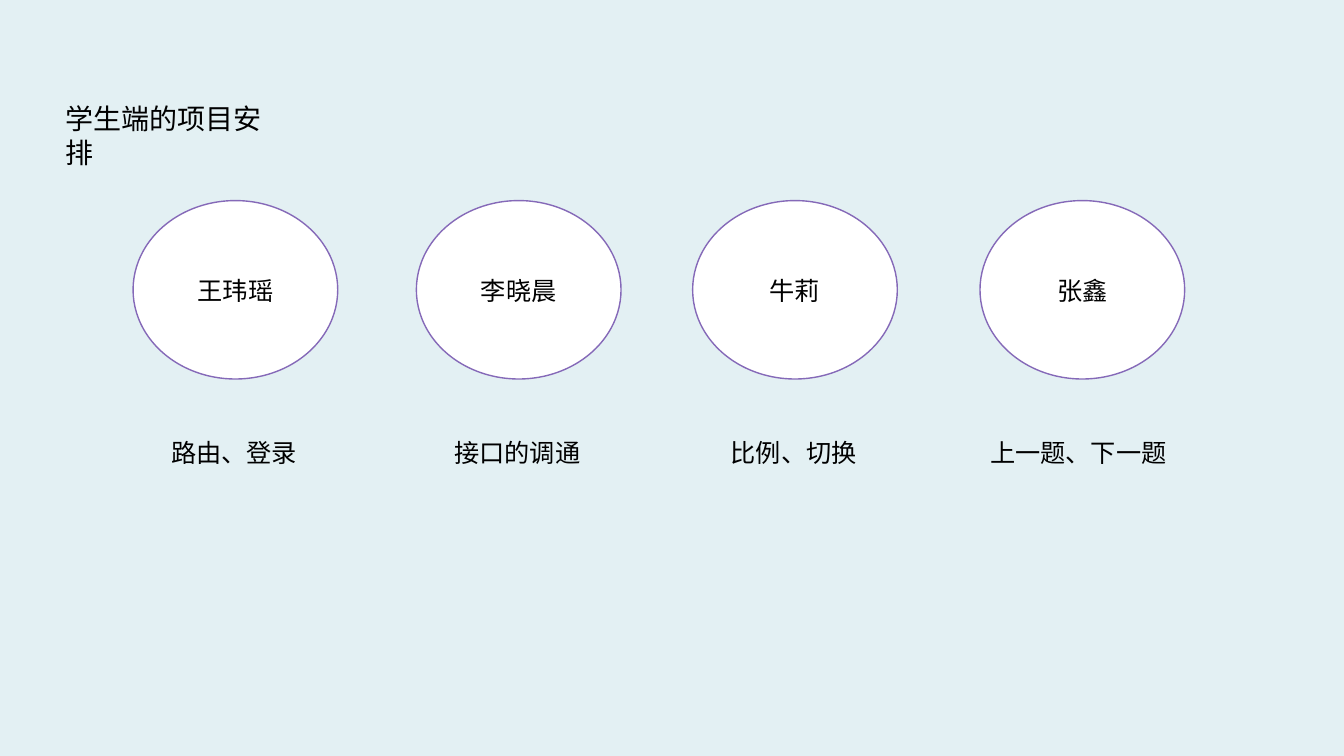
import pptx
import pptx.util
import pptx.dml.color
import pptx.enum.shapes
import pptx.enum.text

Inches = pptx.util.Inches
RGBColor = pptx.dml.color.RGBColor
Align = pptx.enum.text.PP_ALIGN

TITLE = "学生端的项目安排"
MEMBERS = [
    (1.32, "王玮瑶", "路由、登录"),
    (4.13, "李晓晨", "接口的调通"),
    (6.87, "牛莉", "比例、切换"),
    (9.72, "张鑫", "上一题、下一题"),
]

BACKGROUND = RGBColor(0xE3, 0xF0, 0xF3)
WHITE = RGBColor(0xFF, 0xFF, 0xFF)
PURPLE = RGBColor(0x85, 0x69, 0xB8)
BLACK = RGBColor(0x00, 0x00, 0x00)

CIRCLE_TOP, CIRCLE_WIDTH, CIRCLE_HEIGHT = 1.99, 2.03, 1.77
NAME_TOP, TASK_TOP, TEXT_HEIGHT = 2.68, 4.29, 0.4


def write_text(box, text, size=18, align=Align.LEFT, wrap=True):
    frame = box.text_frame
    frame.word_wrap = wrap
    frame.auto_size = pptx.enum.text.MSO_AUTO_SIZE.NONE
    frame.vertical_anchor = pptx.enum.text.MSO_ANCHOR.TOP
    para = frame.paragraphs[0]
    para.alignment = align
    span = para.add_run()
    span.text = text
    span.font.name = "Arial"
    span.font.size = pptx.util.Pt(size)
    span.font.color.rgb = BLACK


def add_centred_box(shapes, left, top, width):
    box_left = left + (CIRCLE_WIDTH - width) / 2
    return shapes.add_textbox(
        Inches(box_left), Inches(top), Inches(width), Inches(TEXT_HEIGHT))


def add_member(page, left, name, task):
    shapes = page.shapes.add_group_shape().shapes
    circle = shapes.add_shape(
        pptx.enum.shapes.MSO_SHAPE.OVAL, Inches(left), Inches(CIRCLE_TOP),
        Inches(CIRCLE_WIDTH), Inches(CIRCLE_HEIGHT))
    circle.shadow.inherit = False
    circle.fill.solid()
    circle.fill.fore_color.rgb = WHITE
    circle.line.color.rgb = PURPLE
    circle.line.width = pptx.util.Pt(1)

    task_box = add_centred_box(shapes, left, TASK_TOP, 0.1 + 0.275 * len(task))
    write_text(task_box, task)
    name_box = add_centred_box(shapes, left, NAME_TOP, 0.2 + 0.25 * len(name))
    write_text(name_box, name, align=Align.CENTER, wrap=False)


def main():
    deck = pptx.Presentation()
    deck.slide_width, deck.slide_height = Inches(13.33), Inches(7.5)
    page = deck.slides.add_slide(deck.slide_layouts[5])
    page.background.fill.solid()
    page.background.fill.fore_color.rgb = BACKGROUND

    title = page.shapes.title
    title.left, title.top = Inches(0.55), Inches(0.96)
    title.width, title.height = Inches(2.4), Inches(0.44)
    write_text(title, TITLE, size=20)

    for left, name, task in MEMBERS:
        add_member(page, left, name, task)
    deck.save("out.pptx")


if __name__ == "__main__":
    main()
